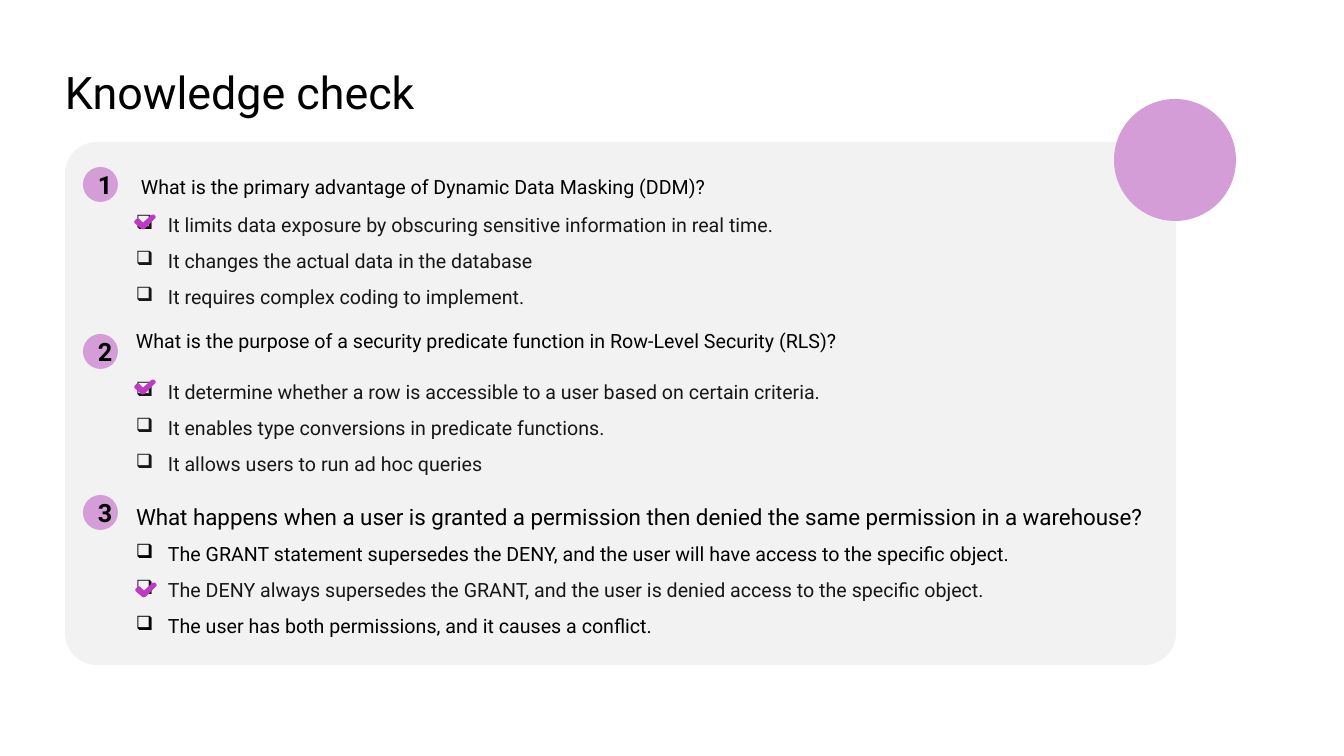
from pptx import Presentation
from pptx import util as u
from pptx.dml.color import RGBColor
from pptx.enum import shapes, text
from pptx.oxml.ns import qn
from lxml import etree

BLACK = RGBColor(0x00, 0x00, 0x00)
INK = RGBColor(0x17, 0x17, 0x17)
GREY = RGBColor(0xF2, 0xF2, 0xF2)
LILAC = RGBColor(0xD5, 0x9D, 0xD7)
PURPLE = RGBColor(0xBF, 0x3A, 0xC4)
NAVY = RGBColor(0x09, 0x1F, 0x2E)
FONT = "Roboto"
PX = 914400 / 100.8
TICK = [(17, 0), (7, 9), (2, 4), (0, 6), (7, 12), (8, 11), (18, 1)]

QUESTIONS = [
    (167, 175, 968, 24, 14, " What is the primary advantage of Dynamic Data Masking (DDM)?",
     213, (136, 216),
     [("It limits data exposure by obscuring sensitive information in real time.", INK),
      ("It changes the actual data in the database", INK),
      ("It requires complex coding to implement.", INK)]),
    (334, 329, 968, 24, 14,
     "What is the purpose of a security predicate function in Row-Level Security (RLS)?",
     380, (136, 381),
     [("It determine whether a row is accessible to a user based on certain criteria.", INK),
      ("It enables type conversions in predicate functions.", INK),
      ("It allows users to run ad hoc queries", INK)]),
    (495, 503, 1037, 54, 16,
     "What happens when a user is granted a permission then denied the same permission in a warehouse?",
     542, (137, 584),
     [("The GRANT statement supersedes the DENY, and the user will have access to the specific object.", BLACK),
      ("The DENY always supersedes the GRANT, and the user is denied access to the specific object.", INK),
      ("The user has both permissions, and it causes a conflict.", BLACK)]),
]

prs = Presentation()
prs.slide_width, prs.slide_height = u.Inches(13.333), u.Inches(7.5)
slide = prs.slides.add_slide(prs.slide_layouts[6])


def add_filled(kind, left, top, width, height, color):
    shape = slide.shapes.add_shape(kind, *(round(n * PX) for n in (left, top, width, height)))
    shape.shadow.inherit = False
    shape.fill.solid()
    shape.fill.fore_color.rgb = color
    shape.line.fill.background()
    return shape


def add_lines(left, top, width, height, size, lines, bullet=None):
    box = slide.shapes.add_textbox(*(round(n * PX) for n in (left, top, width, height)))
    frame = box.text_frame
    frame.word_wrap = True
    frame.margin_left = frame.margin_right = frame.margin_top = frame.margin_bottom = 0
    for index, (words, color) in enumerate(lines):
        paragraph = frame.add_paragraph() if index else frame.paragraphs[0]
        if bullet:
            props = paragraph._p.get_or_add_pPr()
            props.set("marL", str(round(32 * PX)))
            props.set("indent", str(round(-32 * PX)))
            etree.SubElement(props, qn("a:buChar")).set("char", bullet)
            paragraph.space_before = u.Pt(3 if index else 0)
            paragraph.space_after = u.Pt(6)
        run = paragraph.add_run()
        run.text = words
        run.font.name, run.font.size = FONT, u.Pt(size)
        run.font.color.rgb = color


panel = add_filled(shapes.MSO_SHAPE.ROUNDED_RECTANGLE, 65, 142, 1111, 523, GREY)
panel.adjustments[0] = 0.061
add_filled(shapes.MSO_SHAPE.OVAL, 1114, 99, 122, 122, LILAC)
add_lines(65, 65, 903, 54, 32, [("Knowledge check", BLACK)])

for number, (badge_top, question_top, question_width, question_height, question_size,
             question, options_top, tick_at, options) in enumerate(QUESTIONS, 1):
    badge = add_filled(shapes.MSO_SHAPE.OVAL, 83, badge_top, 35, 35, LILAC)
    badge.text_frame.vertical_anchor = text.MSO_ANCHOR.MIDDLE
    label = badge.text_frame.paragraphs[0]
    label.alignment = text.PP_ALIGN.CENTER
    digit = label.add_run()
    digit.text = str(number)
    digit.font.name, digit.font.size, digit.font.bold = FONT, u.Pt(18), True
    digit.font.color.rgb = BLACK

    add_lines(136, question_top, question_width, question_height, question_size, [(question, BLACK)])
    add_lines(136, options_top, 968, 97, 14, options, "❑")

    corners = [(tick_at[0] + x, tick_at[1] + y) for x, y in TICK]
    outline = slide.shapes.build_freeform(*corners[0], scale=PX)
    outline.add_line_segments(corners[1:], close=True)
    tick = outline.convert_to_shape()
    tick.shadow.inherit = False
    tick.fill.solid()
    tick.fill.fore_color.rgb = NAVY
    tick.line.color.rgb = PURPLE
    tick.line.width = u.Pt(2.5)

prs.save("out.pptx")
